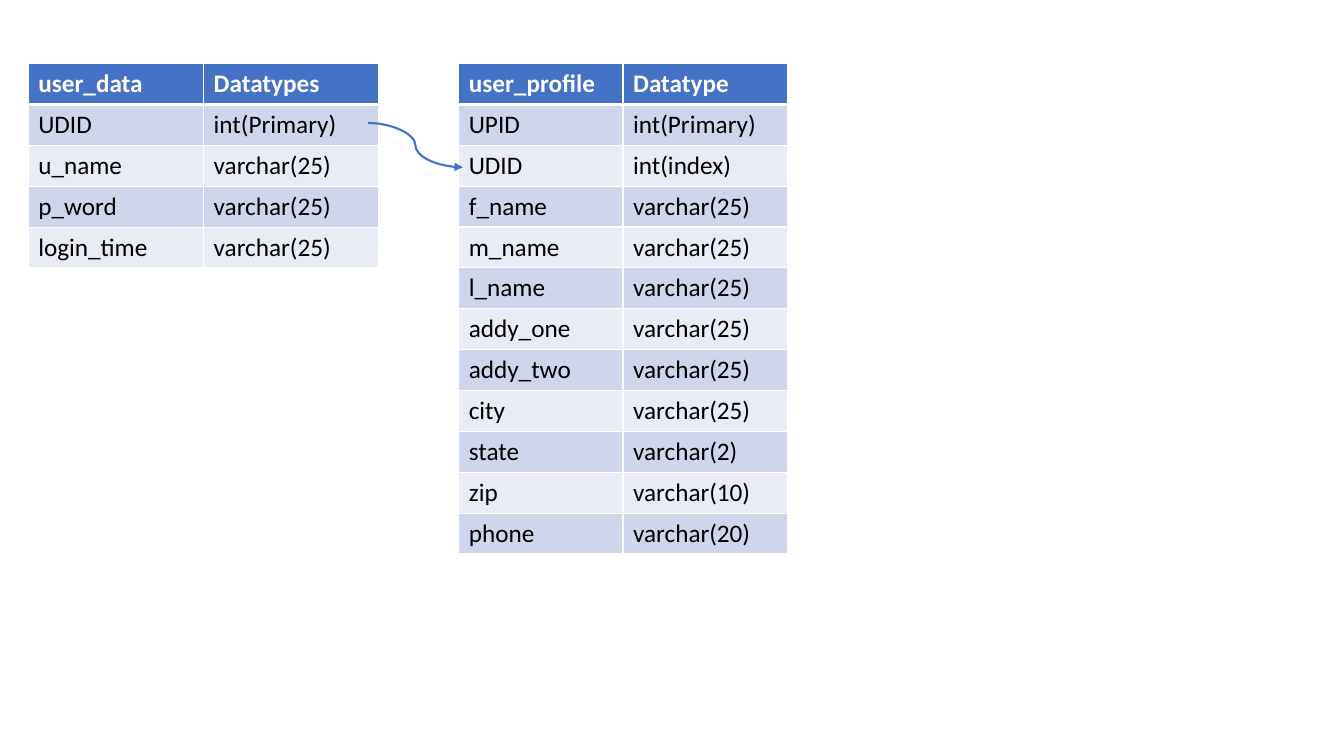
from lxml.etree import SubElement
from pptx import Presentation
from pptx.dml.color import RGBColor
from pptx.enum.shapes import MSO_CONNECTOR
from pptx.oxml.ns import qn
from pptx.util import Inches, Pt

BLUE, WHITE, BLACK = "4472C4", "FFFFFF", "000000"
BANDS = ["E9EBF5", "CFD5EA"]


def rgb(value):
    """Turn a hex string into a colour."""
    return RGBColor.from_string(value)


class SchemaSlide:
    """Hold the style and the slide on which a database schema is drawn."""

    def __init__(self, prs):
        """Add a blank slide and set the text style."""
        self.slide = prs.slides.add_slide(prs.slide_layouts[6])
        self.font = {"name": "Calibri", "size": Pt(18)}

    def border(self, cell, side, width):
        """Draw one white edge of a cell."""
        tcPr = cell._tc.get_or_add_tcPr()
        ln = SubElement(tcPr, qn(f"a:ln{side}"), w=str(Pt(width)))
        fill = SubElement(ln, qn("a:solidFill"))
        SubElement(fill, qn("a:srgbClr"), val=WHITE)

    def cell(self, cell, text, row):
        """Write and format one cell according to its row."""
        header = row == 0
        widths = {"L": 1, "R": 1, "T": 3 if row == 1 else 1, "B": 3 if header else 1}
        for side, width in widths.items():
            self.border(cell, side, width)
        cell.fill.solid()
        cell.fill.fore_color.rgb = rgb(BLUE if header else BANDS[row % 2])
        r = cell.text_frame.paragraphs[0].add_run()
        r.text = text
        for name, value in {**self.font, "bold": header}.items():
            setattr(r.font, name, value)
        r.font.color.rgb = rgb(WHITE if header else BLACK)

    def table(self, rows, left, top, width, height):
        """Add a banded table of column names and datatypes."""
        box = [Inches(v) for v in (left, top, width, height)]
        table = self.slide.shapes.add_table(len(rows), len(rows[0]), *box).table
        for i, row in enumerate(rows):
            for j, text in enumerate(row):
                self.cell(table.cell(i, j), text, i)

    def curved_arrow(self, *ends):
        """Add a curved connector with an arrowhead at its end."""
        points = [Inches(v) for v in ends]
        sp = self.slide.shapes.add_connector(MSO_CONNECTOR.CURVE, *points)
        sp.line.color.rgb = rgb(BLUE)
        sp.line.width = Pt(1.5)
        SubElement(sp.line._get_or_add_ln(), qn("a:tailEnd"), type="triangle")
        SubElement(sp._element.spPr, qn("a:effectLst"))


user_data = [
    ("user_data", "Datatypes"),
    ("UDID", "int(Primary)"),
    ("u_name", "varchar(25)"),
    ("p_word", "varchar(25)"),
    ("login_time", "varchar(25)"),
]
user_profile = [
    ("user_profile", "Datatype"),
    ("UPID", "int(Primary)"),
    ("UDID", "int(index)"),
    ("f_name", "varchar(25)"),
    ("m_name", "varchar(25)"),
    ("l_name", "varchar(25)"),
    ("addy_one", "varchar(25)"),
    ("addy_two", "varchar(25)"),
    ("city", "varchar(25)"),
    ("state", "varchar(2)"),
    ("zip", "varchar(10)"),
    ("phone", "varchar(20)"),
]

prs = Presentation()
prs.slide_width, prs.slide_height = Inches(13.33), Inches(7.5)
s = SchemaSlide(prs)
s.table(user_data, 0.28, 0.63, 3.48, 2.03)
s.table(user_profile, 4.55, 0.63, 3.26, 4.87)
s.curved_arrow(3.65, 1.22, 4.59, 1.66)
prs.save("out.pptx")
